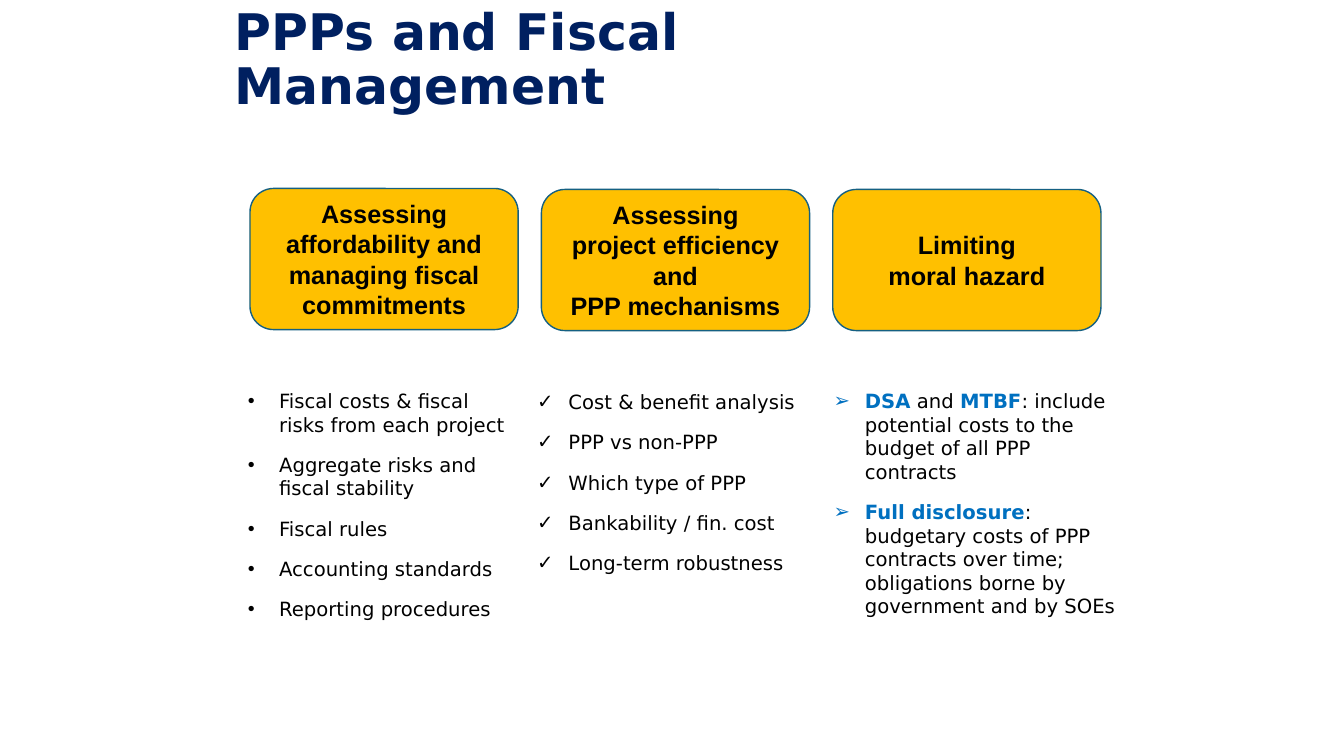
"""Build the slide on PPPs and fiscal management."""
from lxml.etree import SubElement
from pptx import Presentation
from pptx.dml.color import RGBColor
from pptx.enum.shapes import MSO_SHAPE
from pptx.enum.text import MSO_ANCHOR as ANCHOR, MSO_AUTO_SIZE as AUTO, PP_ALIGN as ALIGN
from pptx.oxml.ns import qn
from pptx.util import Inches, Pt

NAVY = RGBColor(0x00, 0x20, 0x60)
BLUE = RGBColor(0x00, 0x70, 0xC0)
TEAL = RGBColor(0x15, 0x60, 0x82)
GOLD = RGBColor(0xFF, 0xC0, 0x00)
BLACK = RGBColor(0x00, 0x00, 0x00)
SANS, ARIAL = "DejaVu Sans", "Arial"

COL_LEFT, COL_PITCH = 2.48, 2.89
BOX_W, BOX_H = 2.66, 1.4
INDENT = Inches(0.31)

COLUMNS = [
    (1.87, "Assessing affordability and managing fiscal commitments",
     (2.36, 3.81, 2.89, 2.42), "•",
     ["Fiscal costs & fiscal risks from each project",
      "Aggregate risks and fiscal stability",
      "Fiscal rules",
      "Accounting standards",
      "Reporting procedures"]),
    (1.88, "Assessing\nproject efficiency and\nPPP mechanisms",
     (5.23, 3.82, 2.94, 1.95), "✓",
     ["Cost & benefit analysis",
      "PPP vs non-PPP",
      "Which type of PPP",
      "Bankability / fin. cost",
      "Long-term robustness"]),
    (1.88, "Limiting\nmoral hazard",
     (8.17, 3.81, 3.08, 2.83), "➢",
     ["*DSA* and *MTBF*: include potential costs to the budget of all PPP contracts",
      "*Full disclosure*: budgetary costs of PPP contracts over time; "
      "obligations borne by government and by SOEs"]),
]


def style(font, name, size, color, bold=False):
    font.name, font.size, font.bold = name, Pt(size), bold
    font.color.rgb = color


def add_bullet(p, char):
    pPr = p._p.get_or_add_pPr()
    pPr.set("marL", str(INDENT))
    pPr.set("indent", str(-INDENT))
    SubElement(pPr, qn("a:buFont"), typeface=ARIAL)
    SubElement(pPr, qn("a:buChar"), char=char)


prs = Presentation()
prs.slide_width, prs.slide_height = Inches(13.33), Inches(7.5)
s = prs.slides.add_slide(prs.slide_layouts[6])

for i, (top, heading, frame, char, items) in enumerate(COLUMNS):
    left = COL_LEFT + i * COL_PITCH
    sp = s.shapes.add_shape(MSO_SHAPE.ROUNDED_RECTANGLE,
                            *map(Inches, (left, top, BOX_W, BOX_H)))
    sp.shadow.inherit = False
    sp.fill.solid()
    sp.fill.fore_color.rgb = GOLD
    sp.line.color.rgb = TEAL
    sp.line.width = Pt(1)
    tf = sp.text_frame
    tf.word_wrap = True
    tf.vertical_anchor = ANCHOR.MIDDLE
    tf.text = heading
    for p in tf.paragraphs:
        p.alignment = ALIGN.CENTER
        style(p.runs[0].font, ARIAL, 18, BLACK, True)

    tf = s.shapes.add_textbox(*map(Inches, frame)).text_frame
    tf.word_wrap = True
    tf.auto_size = AUTO.SHAPE_TO_FIT_TEXT
    for n, item in enumerate(items):
        p = tf.add_paragraph() if n else tf.paragraphs[0]
        p.space_after = Pt(12)
        add_bullet(p, char)
        for part, text in enumerate(item.split("*")):
            if text:
                r = p.add_run()
                r.text = text
                key = part % 2 == 1
                style(r.font, SANS, 14, BLUE if key else BLACK, key)

title = s.shapes.add_textbox(*map(Inches, (2.23, 0.24, 8.36, 1.25)))
tf = title.text_frame
tf.word_wrap = True
tf.vertical_anchor = ANCHOR.MIDDLE
tf.margin_bottom = Inches(0.57)
tf.text = "PPPs and Fiscal Management"
p = tf.paragraphs[0]
p.line_spacing = 0.9
style(p.runs[0].font, SANS, 36, NAVY, True)

prs.save("out.pptx")
